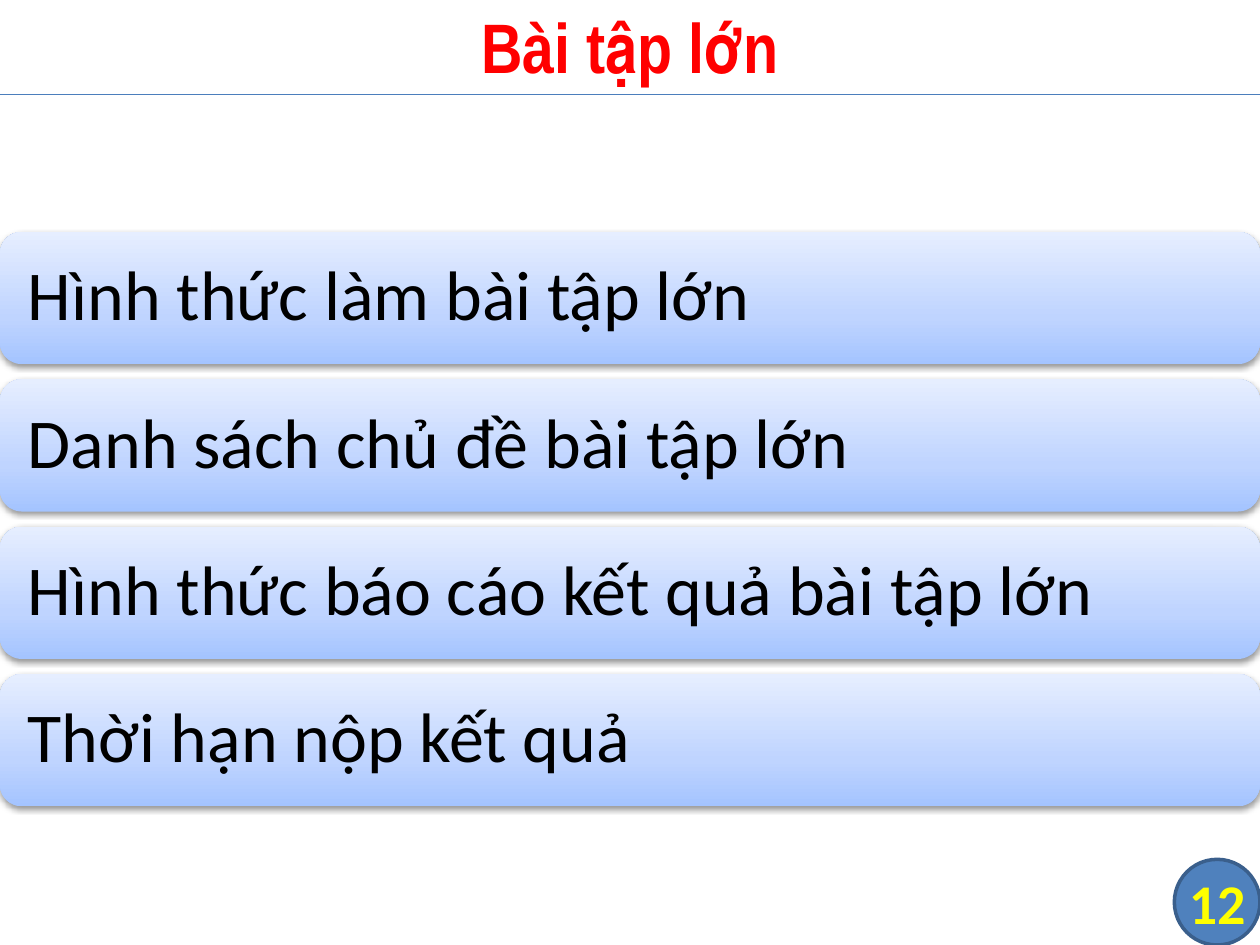
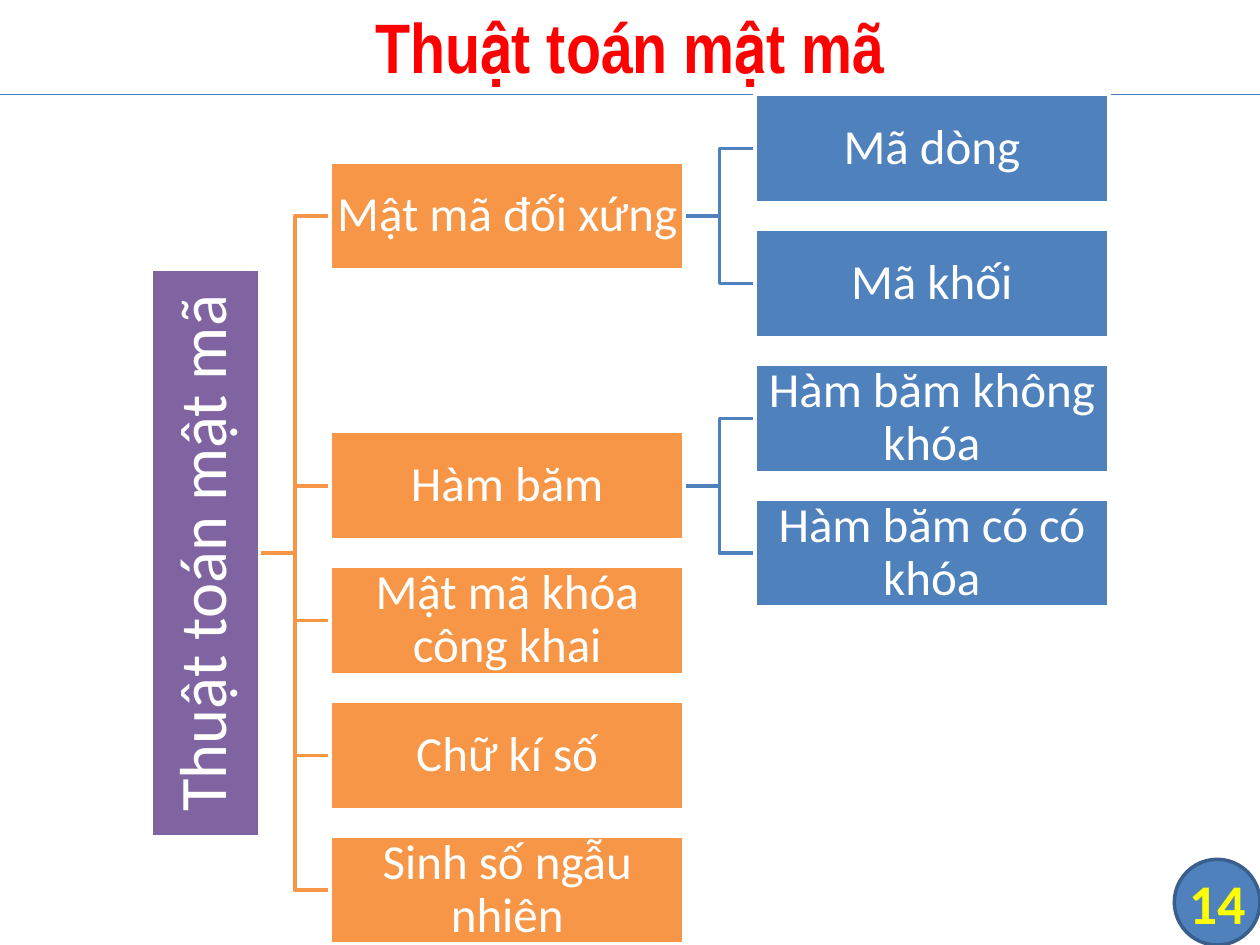
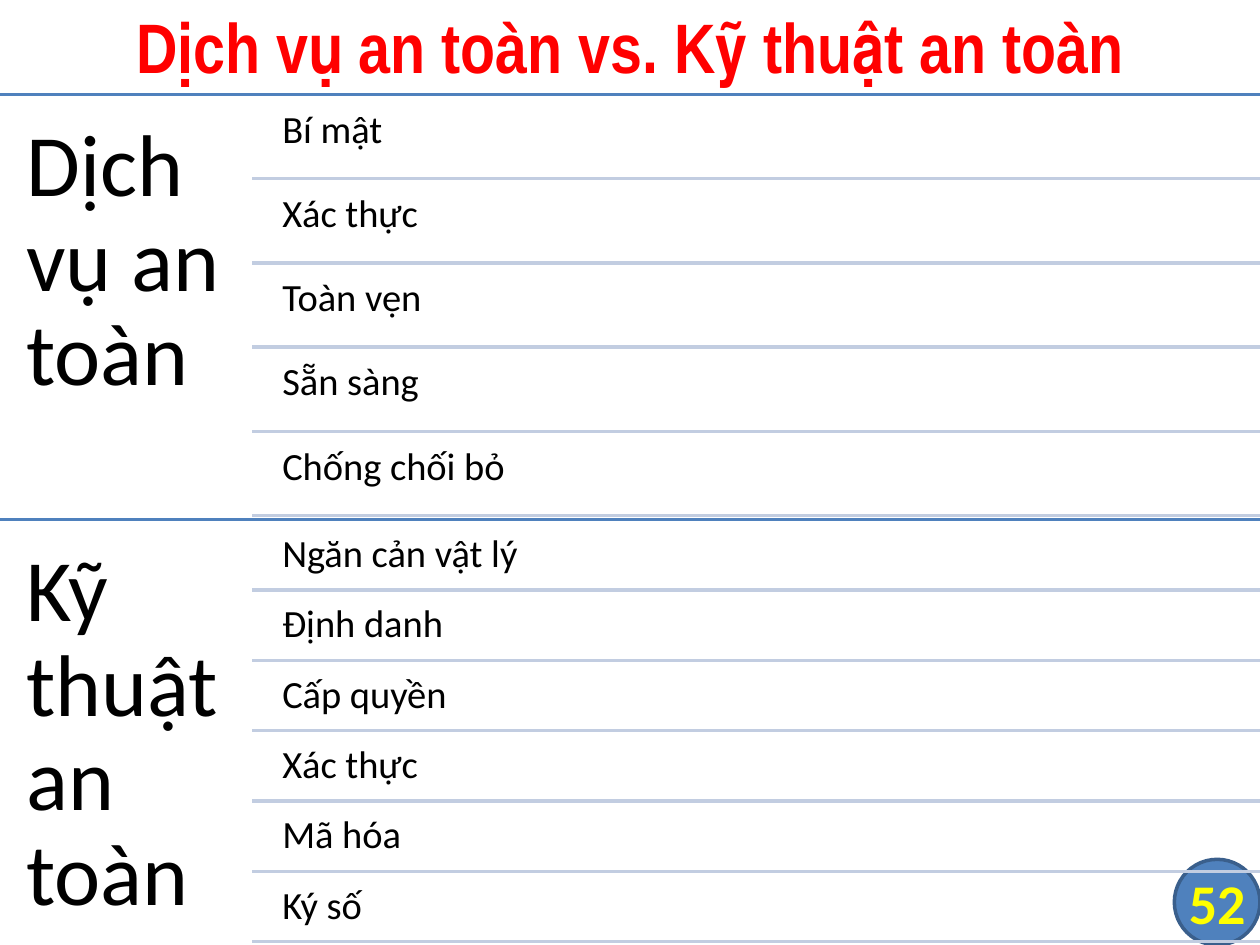
from copy import deepcopy
from dataclasses import dataclass

from lxml.etree import SubElement
from pptx import Presentation
from pptx.dml.color import RGBColor as RGB
from pptx.enum.shapes import MSO_CONNECTOR as CONN, MSO_SHAPE as SHAPE
from pptx.enum.text import MSO_ANCHOR as ANCHOR, PP_ALIGN as ALIGN
from pptx.oxml.ns import qn
from pptx.util import Inches, Pt


@dataclass(frozen=True)
class Theme:
    red: RGB = RGB(0xFF, 0x00, 0x00)
    yellow: RGB = RGB(0xFF, 0xFF, 0x00)
    white: RGB = RGB(0xFF, 0xFF, 0xFF)
    black: RGB = RGB(0x00, 0x00, 0x00)
    blue: RGB = RGB(0x4F, 0x81, 0xBD)
    blue_dark: RGB = RGB(0x3A, 0x5F, 0x8C)
    blue_rule: RGB = RGB(0x4B, 0x7E, 0xBC)
    blue_pale: RGB = RGB(0xC2, 0xCD, 0xE1)
    orange: RGB = RGB(0xF7, 0x96, 0x46)
    purple: RGB = RGB(0x80, 0x64, 0xA2)
    bar_stops: tuple = ((0, RGB(0xA4, 0xC4, 0xFF)), (0.35, RGB(0xBF, 0xD4, 0xFF)),
                        (1, RGB(0xE6, 0xEE, 0xFF)))
    head_font: str = "Arial Narrow"
    body_font: str = "Calibri"
    title: int = 40
    number: int = 32
    bar: int = 40
    root: int = 38
    box: int = 28
    group: int = 50
    item: int = 22


T = Theme()
W, H = 10, 7.5
BAND = H / 10
BADGE = 0.68


def write(shape, text, size, color, inset=0, align=ALIGN.LEFT, anchor=ANCHOR.MIDDLE,
          font=T.body_font, bold=False, spacing=0.9):
    tf = shape.text_frame
    tf.word_wrap = True
    tf.vertical_anchor = anchor
    tf.margin_left = tf.margin_right = tf.margin_top = tf.margin_bottom = Inches(inset)
    p = tf.paragraphs[0]
    p.alignment, p.line_spacing = align, spacing
    r = p.add_run()
    r.text = text
    r.font.name, r.font.size, r.font.bold = font, Pt(size), bold
    r.font.color.rgb = color


def add_rule(s, left, y, color, width=2):
    """Draw a horizontal line from left to the right edge of the slide."""
    c = s.shapes.add_connector(CONN.STRAIGHT, Inches(left), Inches(y), Inches(W), Inches(y))
    c.line.color.rgb, c.line.width = color, Pt(width)
    SubElement(c.element.spPr, qn("a:effectLst"))
    return c


prs = Presentation()
prs.slide_width, prs.slide_height = Inches(W), Inches(H)

# Shared layout: title band, rule and number badge
layout = prs.slide_layouts[5]
for ph in list(layout.placeholders):
    if ph.placeholder_format.idx >= 10:
        ph.element.getparent().remove(ph.element)
title = layout.placeholders[0]
title.left, title.top = Inches(0), Inches(-0.03)
title.width, title.height = Inches(W), Inches(0.78)

TITLES = ["Bài tập lớn", "Thuật toán mật mã", "Dịch vụ an toàn vs. Kỹ thuật an toàn"]
slides = [prs.slides.add_slide(layout) for _ in TITLES]
tasks, tree, services = slides

badge = tasks.shapes.add_shape(SHAPE.FLOWCHART_CONNECTOR, Inches(W - BADGE), Inches(H - BADGE),
                               Inches(BADGE), Inches(BADGE))
badge.shadow.inherit = False
badge.fill.solid()
badge.fill.fore_color.rgb = T.blue
badge.line.color.rgb, badge.line.width = T.blue_dark, Pt(2)
rule = add_rule(tasks, 0, BAND, T.blue_rule, 0.75)
for shared in (badge, rule):
    layout.shapes.element.append(shared.element)

for s, text in zip(slides, TITLES):
    write(s.shapes.title, text, T.title, T.red, 0.05, ALIGN.CENTER,
          font=T.head_font, bold=True, spacing=1)

# Coursework: four stacked bars
BARS = ["Hình thức làm bài tập lớn", "Danh sách chủ đề bài tập lớn",
        "Hình thức báo cáo kết quả bài tập lớn", "Thời hạn nộp kết quả"]
BAR_TOP, BAR_H, BAR_PITCH = 1.84, 1.05, 1.17
for i, text in enumerate(BARS):
    bar = tasks.shapes.add_shape(SHAPE.ROUNDED_RECTANGLE, 0, Inches(BAR_TOP + i * BAR_PITCH),
                                 Inches(W), Inches(BAR_H))
    bar.line.fill.background()
    bar.fill.gradient()
    bar.fill.gradient_angle = 90
    stops = bar.element.find(".//" + qn("a:gsLst"))
    stops.insert(1, deepcopy(stops[0]))
    for stop, (position, color) in zip(bar.fill.gradient_stops, T.bar_stops):
        stop.position, stop.color.rgb = position, color
    bar.shadow.inherit = False
    shadow = SubElement(bar.element.spPr.find(qn("a:effectLst")), qn("a:outerShdw"),
                        blurRad=str(Pt(3.1)), dist=str(Pt(1.6)), dir="5400000", rotWithShape="0")
    shade = SubElement(shadow, qn("a:srgbClr"), val=str(T.black))
    SubElement(shade, qn("a:alpha"), val="38000")
    write(bar, text, T.bar, T.black, 0.17)

# Algorithm tree: each branch is centred on its leaves, or sits one row further down
ROOT = "Thuật toán mật mã"
BRANCHES = [("Mật mã đối xứng", ["Mã dòng", "Mã khối"]),
            ("Hàm băm", ["Hàm băm không khóa", "Hàm băm có có khóa"]),
            ("Mật mã khóa công khai", []), ("Chữ kí số", []), ("Sinh số ngẫu nhiên", [])]
BOX_W, BOX_H, GAP, ROOT_LEN = 2.81, 0.86, 0.56, 4.51
ROW_TOP, ROW_PITCH = 1.18, 1.07
ROOT_X = 1.63
BRANCH_X = ROOT_X + BOX_H / 2 + GAP + BOX_W / 2
LEAF_X = BRANCH_X + BOX_W + GAP

boxes, links = [], []
row, next_leaf, branch_rows = 0, 0, []
for name, leaves in BRANCHES:
    leaf_rows = range(next_leaf, next_leaf + len(leaves))
    next_leaf += len(leaves)
    row = sum(leaf_rows) / len(leaves) if leaves else row + 1
    branch_rows.append(row)
    boxes.append((name, BRANCH_X, row, BOX_W, T.box, T.orange, 0))
    for leaf, leaf_row in zip(leaves, leaf_rows):
        boxes.append((leaf, LEAF_X, leaf_row, BOX_W, T.box, T.blue, 0))
        links.append((BRANCH_X + BOX_W / 2, row, leaf_row, T.blue))
root_row = (branch_rows[0] + branch_rows[-1]) / 2
boxes.insert(0, (ROOT, ROOT_X, root_row, ROOT_LEN, T.root, T.purple, 270))
links += [(ROOT_X + BOX_H / 2, root_row, row, T.orange) for row in branch_rows]

for x, from_row, to_row, color in links:
    y1, y2 = (Inches(ROW_TOP + row * ROW_PITCH) for row in (from_row, to_row))
    middle, end = Inches(x + GAP / 2), Inches(x + GAP)
    builder = tree.shapes.build_freeform(Inches(x), y1)
    builder.add_line_segments([(middle, y1), (middle, y2), (end, y2)], close=False)
    elbow = builder.convert_to_shape()
    elbow.shadow.inherit = False
    elbow.fill.background()
    elbow.line.color.rgb, elbow.line.width = color, Pt(2)

for text, x, row, width, size, color, turn in boxes:
    y = ROW_TOP + row * ROW_PITCH
    box = tree.shapes.add_shape(SHAPE.RECTANGLE, Inches(x - width / 2), Inches(y - BOX_H / 2),
                                Inches(width), Inches(BOX_H))
    box.rotation = turn
    box.shadow.inherit = False
    box.fill.solid()
    box.fill.fore_color.rgb = color
    box.line.color.rgb, box.line.width = T.white, Pt(2)
    write(box, text, size, T.white, 0.02, ALIGN.CENTER)

# Services and techniques: two groups of ruled rows
GROUPS = [("Dịch vụ an toàn", ["Bí mật", "Xác thực", "Toàn vẹn", "Sẵn sàng", "Chống chối bỏ"]),
          ("Kỹ thuật an toàn", ["Ngăn cản vật lý", "Định danh", "Cấp quyền", "Xác thực",
                                "Mã hóa", "Ký số"])]
GROUP_H = (H - BAND) / len(GROUPS)
HEAD_W = W / 5
ITEM_X = HEAD_W + 0.15
for i, (head, items) in enumerate(GROUPS):
    top = BAND + i * GROUP_H
    add_rule(services, 0, top, T.blue)
    tb = services.shapes.add_textbox(0, Inches(top), Inches(HEAD_W), Inches(GROUP_H))
    write(tb, head, T.group, T.black, 0.21, anchor=ANCHOR.TOP)
    # Gaps of 5% of a row stand above, between and below the rows
    item_h = GROUP_H / (len(items) + 0.05 * (len(items) + 1))
    pitch = 1.05 * item_h
    for j, item in enumerate(items):
        bottom = top + (j + 1) * pitch
        tb = services.shapes.add_textbox(Inches(ITEM_X), Inches(bottom - item_h),
                                         Inches(W - ITEM_X), Inches(item_h))
        write(tb, item, T.item, T.black, 0.09, anchor=ANCHOR.TOP)
        add_rule(services, HEAD_W, bottom, T.blue_pale)

for s, number in zip(slides, ("12", "14", "52")):
    tb = s.shapes.add_textbox(Inches(W - BADGE), Inches(H - BADGE), Inches(BADGE), Inches(BADGE))
    write(tb, number, T.number, T.yellow, align=ALIGN.CENTER, bold=True, spacing=1)

prs.save("out.pptx")
